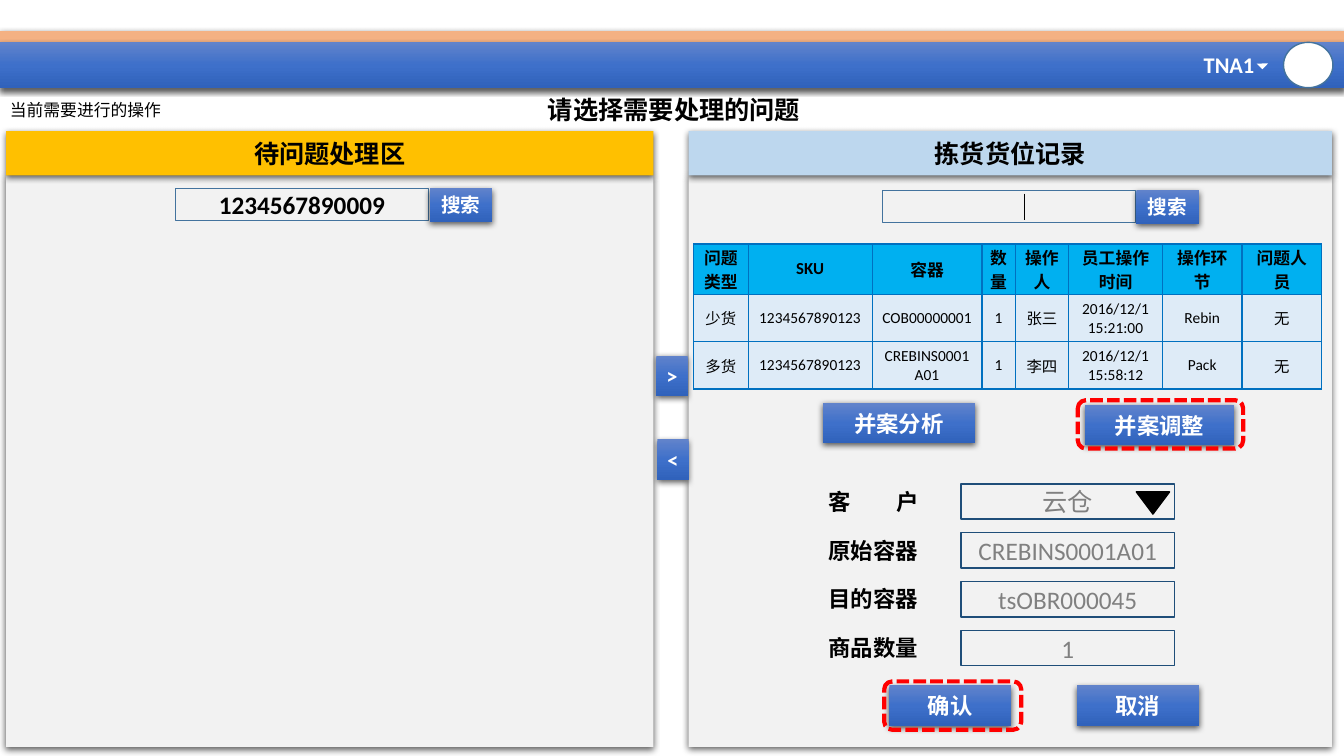
from lxml import etree
from pptx import Presentation
from pptx.dml.color import RGBColor
from pptx.enum.dml import MSO_LINE
from pptx.enum.shapes import MSO_CONNECTOR, MSO_SHAPE
from pptx.enum.text import MSO_ANCHOR, MSO_AUTO_SIZE, PP_ALIGN
from pptx.oxml import parse_xml
from pptx.oxml.ns import qn
from pptx.util import Inches, Pt

RECT, OVAL, ROUND = MSO_SHAPE.RECTANGLE, MSO_SHAPE.OVAL, MSO_SHAPE.ROUNDED_RECTANGLE
WEDGE, ARROW = MSO_SHAPE.RIGHT_TRIANGLE, MSO_SHAPE.ISOSCELES_TRIANGLE
LEFT, MID = PP_ALIGN.LEFT, PP_ALIGN.CENTER
MIDDLE, NO_FIT = MSO_ANCHOR.MIDDLE, MSO_AUTO_SIZE.NONE
DASH, STRAIGHT = MSO_LINE.SQUARE_DOT, MSO_CONNECTOR.STRAIGHT

BLACK, WHITE = RGBColor(0, 0, 0), RGBColor(255, 255, 255)
PEACH, PALE = RGBColor(0xF4, 0xB1, 0x83), RGBColor(0xF2, 0xF2, 0xF2)
GOLD, SKY = RGBColor(0xFF, 0xC0, 0), RGBColor(0xBD, 0xD7, 0xEE)
CYAN, ICE = RGBColor(0, 0xB0, 0xF0), RGBColor(0xDE, 0xEB, 0xF7)
STEEL, NAVY = RGBColor(0x43, 0x73, 0x9E), RGBColor(0x1F, 0x4E, 0x79)
GRAY, RED = RGBColor(128, 128, 128), RGBColor(255, 0, 0)
GRID = RGBColor(0, 0x70, 0xC0)
BLEND = [(0, RGBColor(0x61, 0x83, 0xCB)), (50, RGBColor(0x3E, 0x70, 0xCA)),
         (100, RGBColor(0x30, 0x62, 0xBB))]

WIDE, HIGH = 13.33, 7.5
FONT = "Calibri"
NS = 'xmlns:a="http://schemas.openxmlformats.org/drawingml/2006/main"'

TITLE = "请选择需要处理的问题"
HINT = "当前需要进行的操作"
USER = "TNA1"
PANELS = [("待问题处理区", 0.06, 6.42, GOLD), ("拣货货位记录", 6.83, 6.38, SKY)]
SEARCH = [("1234567890009", 1.74, 1.87), ("", 8.75, 1.89)]
BUTTONS = [
    (">", 6.51, 3.53, 0.31), ("<", 6.52, 4.36, 0.31),
    ("并案分析", 8.16, 4, 1.51), ("并案调整", 10.76, 4.02, 1.48),
    ("确认", 8.82, 6.8, 1.21), ("取消", 10.68, 6.8, 1.21),
]
MARKS = [(8.77, 6.76, 1.36), (10.69, 3.97, 1.64)]
FORM = [("客\t户", "云仓"), ("原始容器", "CREBINS0001A01"),
        ("目的容器", "tsOBR000045"), ("商品数量", "1")]
FORM_TOP, FORM_STEP = 4.8, 0.485
COLS = [0.54, 1.23, 1.09, 0.33, 0.53, 0.93, 0.79, 0.79]
ROWS = [0.5, 0.47, 0.47]
CELLS = [
    ["问题类型", "SKU", "容器", "数量", "操作人", "员工操作时间", "操作环节", "问题人员"],
    ["少货", "1234567890123", "COB00000001", "1", "张三", "2016/12/1\n15:21:00", "Rebin", "无"],
    ["多货", "1234567890123", "CREBINS0001A01", "1", "李四", "2016/12/1\n15:58:12", "Pack", "无"],
]

deck = Presentation()
deck.slide_width, deck.slide_height = Inches(WIDE), Inches(HIGH)
slide = deck.slides.add_slide(deck.slide_layouts[5])
shapes = slide.shapes


def write(frame, text, size, color, bold=True, align=MID):
    frame.text = text
    for para in frame.paragraphs:
        para.alignment = align
        font = para.font
        font.name, font.size, font.bold = FONT, Pt(size), bold
        font.color.rgb = color


def label(text, x, y, w, h, size, color=BLACK, bold=True, wrap=True):
    box = shapes.add_textbox(Inches(x), Inches(y), Inches(w), Inches(h))
    frame = box.text_frame
    frame.word_wrap = wrap
    write(frame, text, size, color, bold, LEFT)
    return frame


def shade(shape):
    shape.shadow.inherit = False
    glow = shape._element.spPr.find(qn("a:effectLst"))
    glow.append(parse_xml(
        f'<a:outerShdw {NS} blurRad="57150" dist="19050" dir="5400000" algn="ctr" '
        'rotWithShape="0"><a:srgbClr val="000000"><a:alpha val="63000"/>'
        '</a:srgbClr></a:outerShdw>'))


def blend(shape):
    stops = "".join(f'<a:gs pos="{spot * 1000}"><a:srgbClr val="{color}"/></a:gs>'
                    for spot, color in BLEND)
    shape.fill.background()
    blank = shape._element.spPr.find(qn("a:noFill"))
    blank.getparent().replace(blank, parse_xml(
        f'<a:gradFill {NS} rotWithShape="1"><a:gsLst>{stops}</a:gsLst>'
        '<a:lin ang="5400000" scaled="0"/></a:gradFill>'))


def draw(x, y, w, h, fill=None, line=None, kind=RECT, weight=1, raised=False):
    shape = shapes.add_shape(kind, Inches(x), Inches(y), Inches(w), Inches(h))
    if fill is BLEND:
        blend(shape)
    elif fill is None:
        shape.fill.background()
    else:
        shape.fill.solid()
        shape.fill.fore_color.rgb = fill
    if line is None:
        shape.line.fill.background()
    else:
        shape.line.color.rgb, shape.line.width = line, Pt(weight)
    if raised:
        shade(shape)
    else:
        shape.shadow.inherit = False
    shape.text_frame.vertical_anchor = MIDDLE
    return shape


def button(text, x, y, w, h=0.4, size=16):
    write(draw(x, y, w, h, BLEND, raised=True).text_frame, text, size, WHITE)


def border(cell):
    props = cell._tc.get_or_add_tcPr()
    for side in ("lnL", "lnR", "lnT", "lnB"):
        props.append(parse_xml(
            f'<a:{side} {NS} w="12700"><a:solidFill><a:srgbClr val="{GRID}"/>'
            f'</a:solidFill></a:{side}>'))


def header():
    draw(0, 0.31, WIDE, 0.11, PEACH, raised=True)
    draw(0, 0.42, WIDE, 0.45, BLEND, raised=True)
    draw(12.73, 0.42, 0.49, 0.45, WHITE, STEEL, OVAL)
    label(USER, 11.84, 0.46, 0.71, 0.37, 16, WHITE, wrap=False)
    draw(12.48, 0.59, 0.08, 0.08, WHITE, kind=WEDGE).rotation = 314.5
    title = shapes.title
    title.left, title.top = Inches(0.02), Inches(0.89)
    title.width, title.height = Inches(WIDE), Inches(0.4)
    frame = title.text_frame
    frame.auto_size, frame.vertical_anchor = NO_FIT, MIDDLE
    write(frame, TITLE, 18, BLACK)
    label(HINT, 0, 0.89, 1.8, 0.4, 12, bold=False).vertical_anchor = MIDDLE


def panels():
    for name, x, w, color in PANELS:
        draw(x, 1.74, w, 5.67, PALE, raised=True)
        write(draw(x, 1.3, w, 0.44, color, raised=True).text_frame, name, 18, BLACK)
    for code, x, y in SEARCH:
        field = draw(x, y, 2.51, 0.32, line=STEEL)
        if code:
            write(field.text_frame, code, 18, BLACK)
        button("搜索", x + 2.52, y, 0.62, 0.33, 14)
    caret = shapes.add_connector(STRAIGHT, Inches(10.16), Inches(1.92),
                                 Inches(10.16), Inches(2.18))
    caret.line.color.rgb, caret.line.width = BLACK, Pt(0.75)
    etree.SubElement(caret._element.spPr, qn("a:effectLst"))


def records():
    table = shapes.add_table(len(ROWS), len(COLS), Inches(6.88), Inches(2.42),
                             Inches(sum(COLS)), Inches(sum(ROWS))).table
    for col, w in zip(table.columns, COLS):
        col.width = Inches(w)
    for r, (h, texts) in enumerate(zip(ROWS, CELLS)):
        table.rows[r].height = Inches(h)
        for c, text in enumerate(texts):
            cell = table.cell(r, c)
            border(cell)
            cell.fill.solid()
            cell.fill.fore_color.rgb = ICE if r else CYAN
            cell.vertical_anchor = MIDDLE
            if r == 0:
                cell.margin_top = cell.margin_bottom = 0
                cell.margin_left = cell.margin_right = Inches(0.08)
            write(cell.text_frame, text, 11 if r else 12, BLACK, r == 0)


def form():
    for i, (name, value) in enumerate(FORM):
        y = FORM_TOP + i * FORM_STEP
        para = label(name, 8.12, y + 0.02, 1.54, 0.39, 16).paragraphs[0]
        para.line_spacing = 0.9
        if "\t" in name:
            tabs = parse_xml(f'<a:tabLst {NS}><a:tab pos="{Inches(0.67)}" algn="l"/></a:tabLst>')
            para._p.pPr.find(qn("a:defRPr")).addprevious(tabs)
        write(draw(9.53, y, 2.12, 0.35, line=NAVY).text_frame, value, 18, GRAY, False)
    draw(11.27, 4.88, 0.33, 0.22, BLACK, BLACK, ARROW).rotation = 180


header()
panels()
records()
for spot in BUTTONS:
    button(*spot)
form()
for x, y, w in MARKS:
    draw(x, y, w, 0.48, line=RED, kind=ROUND, weight=3).line.dash_style = DASH
deck.save("out.pptx")
